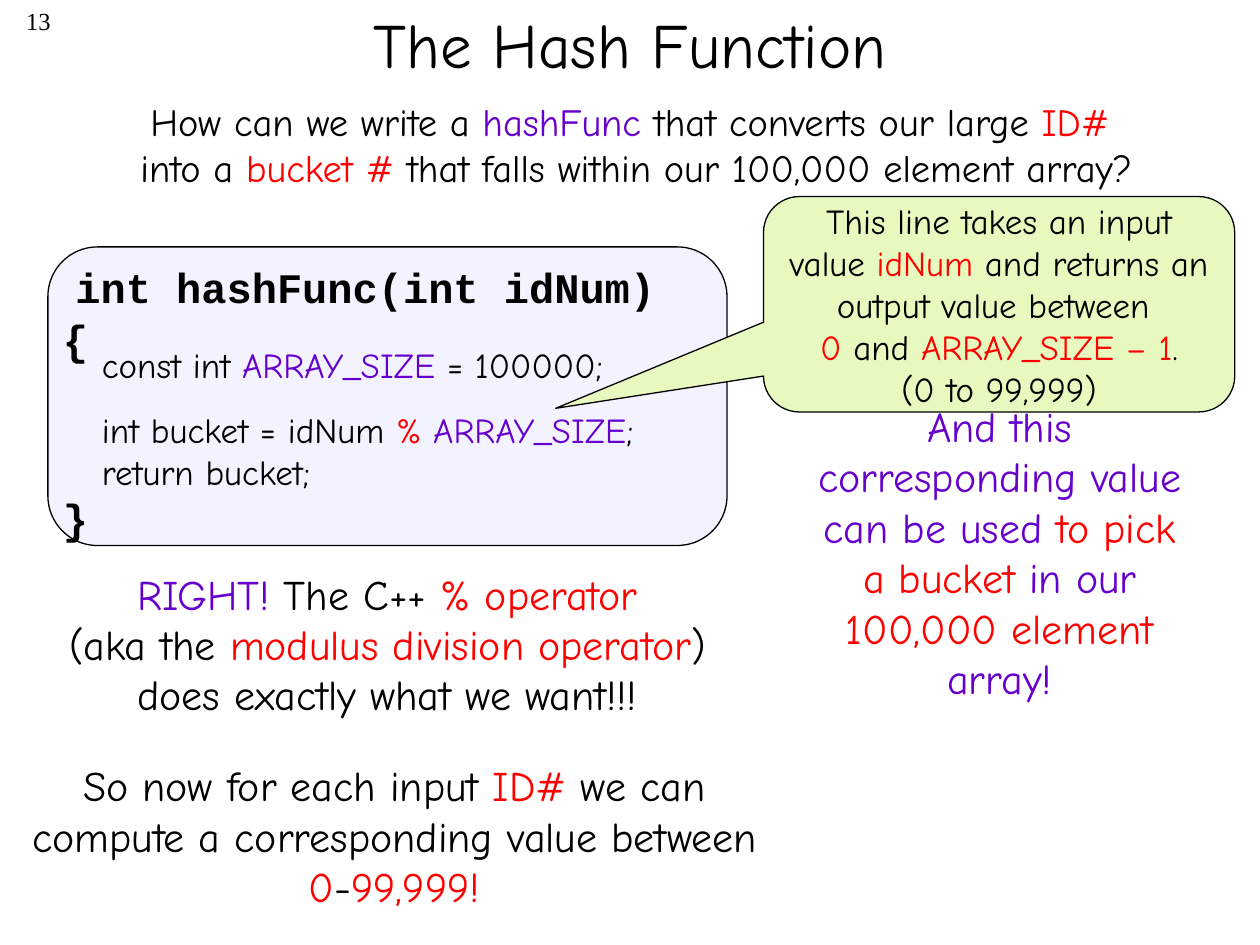
from pptx import Presentation
from pptx.dml.color import RGBColor
from pptx.enum.shapes import MSO_SHAPE
from pptx.enum.text import MSO_ANCHOR, PP_ALIGN
from pptx.util import Inches, Pt

BLACK, PURPLE, RED = "000000", "6600CC", "FF0000"
LAVENDER, LIME = "F3F3FF", "E7F9BF"


def color(hex_code):
    return RGBColor.from_string(hex_code)


class SlideBuilder:
    """Holds the text style and the slide being filled."""

    font = "Comic Neue"

    def __init__(self, slide):
        self.slide = slide

    def fill_text(self, shape, paragraphs, size, align=PP_ALIGN.CENTER,
                  font=None, bold=False, anchor=MSO_ANCHOR.TOP, gaps=()):
        """Each paragraph is a list of (text, colour); gaps are points above."""
        frame = shape.text_frame
        frame.word_wrap = True
        frame.vertical_anchor = anchor
        for i, runs in enumerate(paragraphs):
            para = frame.paragraphs[0] if i == 0 else frame.add_paragraph()
            para.alignment = align
            para.font.size = Pt(size)
            if i < len(gaps):
                para.space_before = Pt(gaps[i])
            for text, hex_code in runs:
                for n, line in enumerate(text.split("\n")):
                    if n:
                        para.add_line_break()
                    if not line:
                        continue
                    run = para.add_run()
                    run.text = line
                    run.font.size = Pt(size)
                    run.font.name = font or self.font
                    run.font.bold = bold
                    run.font.color.rgb = color(hex_code)

    def text(self, box, paragraphs, size, **style):
        shape = self.slide.shapes.add_textbox(*map(Inches, box))
        self.fill_text(shape, paragraphs, size, **style)

    def panel(self, kind, box, fill, adjustments=()):
        shape = self.slide.shapes.add_shape(kind, *map(Inches, box))
        shape.shadow.inherit = False
        shape.fill.solid()
        shape.fill.fore_color.rgb = color(fill)
        shape.line.color.rgb = color(BLACK)
        shape.line.width = Pt(0.75)
        for i, value in enumerate(adjustments):
            shape.adjustments[i] = value
        return shape


prs = Presentation()
prs.slide_width, prs.slide_height = Inches(10), Inches(7.5)
page = SlideBuilder(prs.slides.add_slide(prs.slide_layouts[6]))

# Code panel, page number and title
page.panel(MSO_SHAPE.ROUNDED_RECTANGLE, (0.38, 1.96, 5.39, 2.37), LAVENDER)
page.text((0, 0, 0.5, 0.5), [[("13", BLACK)]], 14,
          align=PP_ALIGN.RIGHT, font="Times New Roman")
page.text((0.75, -0.28, 8.5, 1.25), [[("The Hash Function", BLACK)]], 36,
          anchor=MSO_ANCHOR.MIDDLE)

# Function signature and braces
page.text((0.5, 2.03, 5.2, 0.5), [[("int hashFunc(int idNum)", BLACK)]], 24,
          align=PP_ALIGN.LEFT, font="Courier New", bold=True)
page.text((0.4, 2.44, 0.5, 1.84), [[("{", BLACK)], [("}", BLACK)]], 24,
          align=PP_ALIGN.LEFT, font="Courier New", bold=True, gaps=(0, 73.4))

# Question
page.text((0.29, 0.73, 9.52, 0.84), [[
    ("How can we write a ", BLACK), ("hashFunc ", PURPLE),
    ("that converts our large ", BLACK), ("ID# \n", RED),
    ("into a ", BLACK), ("bucket # ", RED),
    ("that falls within our 100,000 element array?", BLACK)]], 22)

# Function body
page.text((0.71, 2.68, 5.71, 1.31), [
    [("const int ", BLACK), ("ARRAY_SIZE", PURPLE), (" = 100000;", BLACK)],
    [("int bucket = idNum ", BLACK), ("% ", RED),
     ("ARRAY_SIZE", PURPLE), (";", BLACK)],
    [("return bucket;", BLACK)]], 20, align=PP_ALIGN.LEFT, gaps=(0, 13, 0))

# Answer
page.text((0, 4.46, 6.26, 1.31), [[
    ("RIGHT! ", PURPLE), ("The C++ ", BLACK), ("% operator \n", RED),
    ("(aka the ", BLACK), ("modulus division operator", RED),
    (") \ndoes exactly what we want!!! ", BLACK)]], 24)

# Callout pointing at the modulus line
callout = page.panel(MSO_SHAPE.ROUNDED_RECTANGULAR_CALLOUT,
                     (6.06, 1.56, 3.74, 1.71), LIME, (-0.941, 0.483, 0.167))
page.fill_text(callout, [
    [("This line takes an input value ", BLACK), ("idNum", RED),
     (" and returns an output value between \n", BLACK), ("0 ", RED),
     ("and ", BLACK), ("ARRAY_SIZE – 1", RED), (".", BLACK)],
    [("(0 to 99,999)", BLACK)]], 20, anchor=MSO_ANCHOR.MIDDLE)

# Conclusions
page.text((0.07, 5.98, 6.12, 1.31), [[
    ("So now for each input ", BLACK), ("ID#", RED),
    (" we can compute a corresponding value between ", BLACK),
    ("0", RED), ("-", BLACK), ("99,999!", RED)]], 24)
page.text((6.35, 3.13, 3.17, 2.52), [[
    ("And this corresponding value can be used ", PURPLE),
    ("to pick a bucket", RED), (" in our ", PURPLE),
    ("100,000 element ", RED), ("array!", PURPLE)]], 24)

prs.save("out.pptx")
